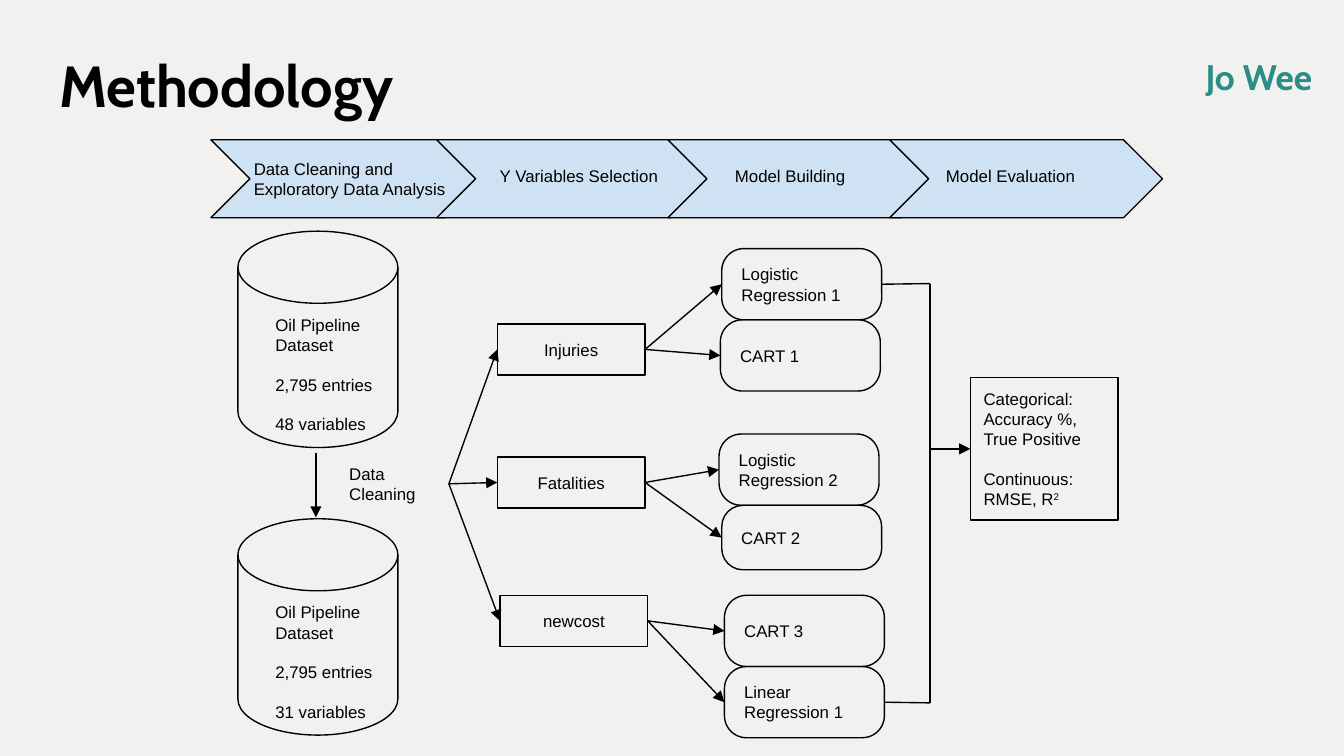
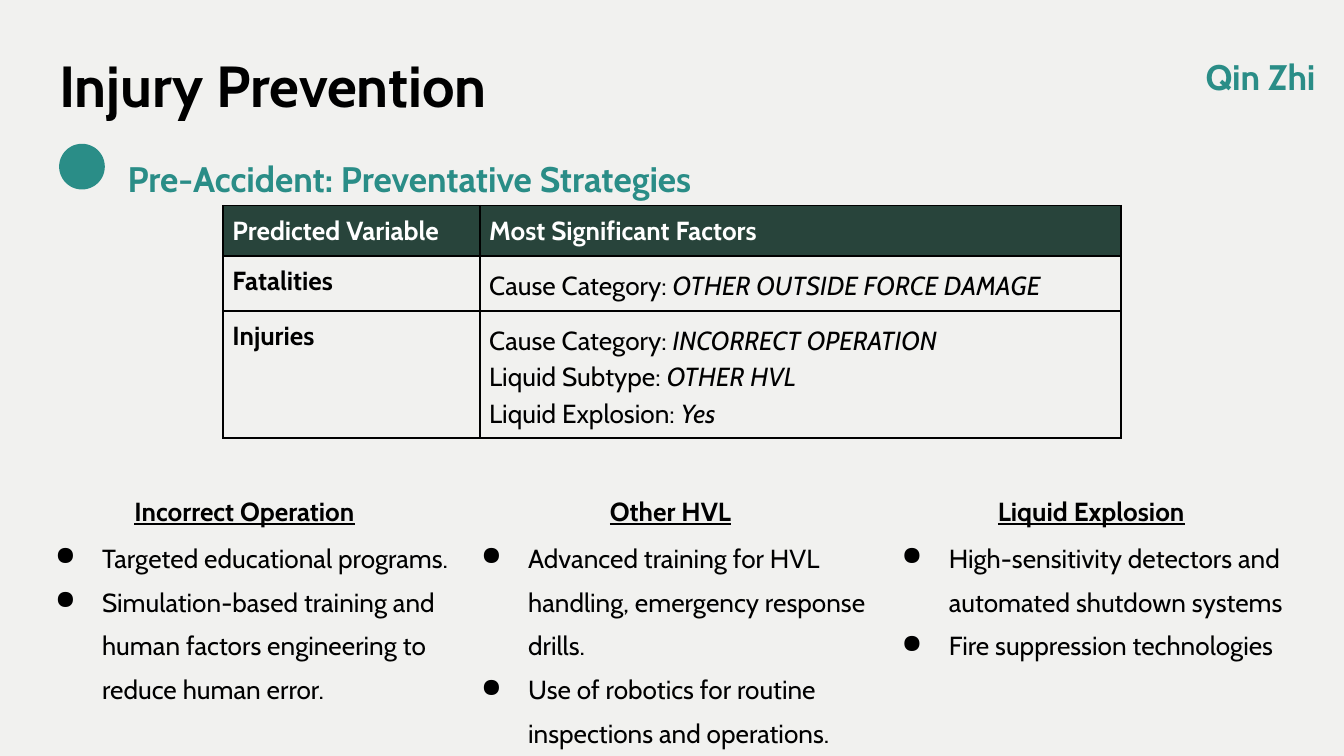
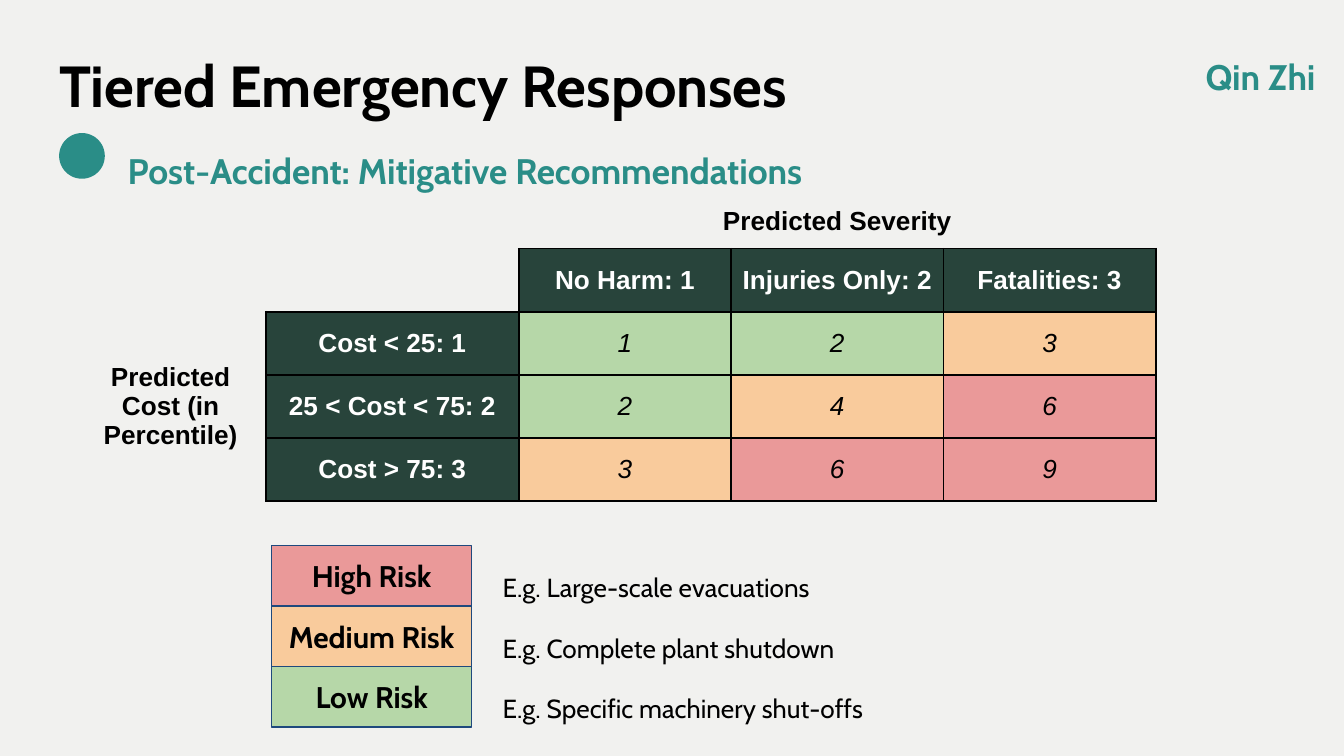
from lxml import etree
from pptx import Presentation, util as u
from pptx.dml.color import RGBColor
from pptx.enum import shapes, text
from pptx.oxml import ns

SHAPE = shapes.MSO_SHAPE
CENTER, JUSTIFY = text.PP_ALIGN.CENTER, text.PP_ALIGN.JUSTIFY
TOP, MIDDLE = text.MSO_ANCHOR.TOP, text.MSO_ANCHOR.MIDDLE
PAPER, BLACK, WHITE = "F1F1EF", "000000", "FFFFFF"
TEAL, DARK, SKY, NAVY = "2A8D87", "28443B", "CFE2F3", "1F497D"
HIGH, MEDIUM, LOW = "EA9999", "F9CB9C", "B6D7A8"
LINE_GAP = 10.35
HEADING = dict(font="Cabin", bold=True)
BODY = dict(font="Cabin", size=14)


def rgb(color):
    """Turn a hex string into a colour."""
    return RGBColor.from_string(color)


def child(parent, tag, **attrs):
    """Append a DrawingML element to a parent."""
    return etree.SubElement(parent, ns.qn(f"a:{tag}"), attrs)


def add_bullet(p):
    """Give a paragraph a round black bullet with a hanging indent."""
    pPr = p._p.get_or_add_pPr()
    pPr.set("marL", str(u.Inches(0.5)))
    pPr.set("indent", str(-u.Inches(0.35)))
    child(child(pPr, "buClr"), "srgbClr", val=BLACK)
    child(pPr, "buChar", char="●")


def write(tf, paras, font="Arial", size=9, color=BLACK, bold=False, underline=False,
          italic=False, align=None, spacing=None, gaps=(), bullets=False):
    """Fill a text frame; a paragraph is a string or a list of (text, run style) pairs."""
    for i, parts in enumerate(paras):
        p = tf.paragraphs[0] if i == 0 else tf.add_paragraph()
        if bullets:
            add_bullet(p)
        if align is not None:
            p.alignment = align
        if spacing:
            p.line_spacing = spacing
        if i in gaps:
            p.space_before = u.Pt(LINE_GAP)
        f = p.font
        f.name, f.size, f.bold = font, u.Pt(size), bold
        f.italic, f.underline = italic, underline
        f.color.rgb = rgb(color)
        for words, style in [(parts, "")] if isinstance(parts, str) else parts:
            r = p.add_run()
            r.text = words
            if style == "italic":
                r.font.italic = True
            elif style == "super":
                r._r.get_or_add_rPr().set("baseline", "30000")


def set_margins(target, inset):
    """Set four equal margins on a text frame or table cell."""
    target.margin_left = target.margin_right = u.Inches(inset)
    target.margin_top = target.margin_bottom = u.Inches(inset)


def add_label(s, box, paras, inset=0.0, **style):
    """Add a wrapping text box that grows with its text."""
    tf = s.shapes.add_textbox(*map(u.Inches, box)).text_frame
    tf.word_wrap = True
    tf.auto_size = text.MSO_AUTO_SIZE.SHAPE_TO_FIT_TEXT
    set_margins(tf, inset)
    write(tf, paras, **style)


def add_box(s, kind, box, paras=(), fill=None, line=BLACK, adj=None, **style):
    """Add a preset shape with its own fill, outline and text."""
    sp = s.shapes.add_shape(kind, *map(u.Inches, box))
    sp.shadow.inherit = False
    if adj is not None:
        sp.adjustments[0] = adj
    if fill:
        sp.fill.solid()
        sp.fill.fore_color.rgb = rgb(fill)
    else:
        sp.fill.background()
    if line:
        sp.line.color.rgb = rgb(line)
        sp.line.width = u.Pt(0.75)
    else:
        sp.line.fill.background()
    tf = sp.text_frame
    tf.word_wrap = True
    tf.vertical_anchor = MIDDLE
    set_margins(tf, 0.1)
    style.setdefault("align", text.PP_ALIGN.LEFT)
    write(tf, paras, **style)
    return sp


def connect(s, start, end, arrow=True):
    """Draw a line between two ends, each a point or a (shape, side) pair."""
    points = [(0, 0) if hasattr(e[0], "shape_id") else e for e in (start, end)]
    cx = s.shapes.add_connector(shapes.MSO_CONNECTOR.STRAIGHT,
                                *(u.Inches(v) for pt in points for v in pt))
    for e, join in ((start, cx.begin_connect), (end, cx.end_connect)):
        if hasattr(e[0], "shape_id"):
            join(*e)
    cx.line.color.rgb = rgb(BLACK)
    cx.line.width = u.Pt(0.75)
    if arrow:
        child(cx.line._get_or_add_ln(), "tailEnd", type="triangle")
    child(cx._element.spPr, "effectLst")


def add_grid(s, left, top, widths, heights):
    """Add a plain table with the given column widths and row heights."""
    size = map(u.Inches, (left, top, sum(widths), sum(heights)))
    tbl = s.shapes.add_table(len(heights), len(widths), *size).table
    tbl.first_row = tbl.horz_banding = False
    for col, w in zip(tbl.columns, widths):
        col.width = u.Inches(w)
    for row, h in zip(tbl.rows, heights):
        row.height = u.Inches(h)
    return tbl


def fill_cell(cell, paras=(), fill=None, sides="LRTB", anchor=MIDDLE, **style):
    """Set the borders, fill and text of one table cell."""
    tcPr = cell._tc.get_or_add_tcPr()
    for side in "LRTB":
        ln = child(tcPr, f"ln{side}", w=str(u.Pt(1)))
        if side in sides:
            child(child(ln, "solidFill"), "srgbClr", val=BLACK)
        else:
            child(ln, "noFill")
    if fill:
        cell.fill.solid()
        cell.fill.fore_color.rgb = rgb(fill)
    else:
        cell.fill.background()
    if paras:
        set_margins(cell, 0.07)
        cell.vertical_anchor = anchor
        write(cell.text_frame, paras, **style)


def add_page(prs, title, speaker):
    """Start a slide with the shared background, title and speaker name."""
    s = prs.slides.add_slide(prs.slide_layouts[6])
    s.background.fill.solid()
    s.background.fill.fore_color.rgb = rgb(PAPER)
    add_label(s, (0.44, 0.26, 9.06, 0.52), [title], size=31, spacing=1.21, **HEADING)
    add_label(s, (8.97, 0.28, 1.16, 0.32), [speaker],
              size=19, color=TEAL, spacing=1.4, **HEADING)
    return s


def add_subtitle(s, dot_top, text_top, width, words):
    """Add the teal dot and the section line beside it."""
    add_box(s, SHAPE.OVAL, (0.44, dot_top, 0.34, 0.34), fill=TEAL, line=None)
    add_label(s, (0.95, text_top, width, 0.32), [words],
              size=19, color=TEAL, spacing=1.4, **HEADING)


def add_stages(s, top):
    """Draw the chevron band and its stage names."""
    stages = [
        (1.57, 1.79, 2.66, ["Data Cleaning and", "Exploratory Data Analysis"]),
        (3.25, 3.62, 1.4, ["Y Variables Selection"]),
        (4.97, 5.37, 3.28, ["Model Building"]),
        (6.62, 6.94, 3.28, ["Model Evaluation"]),
    ]
    for left, *_ in stages:
        add_box(s, SHAPE.CHEVRON, (left, top, 2.03, 0.58), fill=SKY, adj=0.5)
    for _, left, width, lines in stages:
        height = 0.2 + 0.15 * len(lines)
        add_label(s, (left, top + 0.29 - height / 2, width, height), lines, inset=0.1)


def add_dataset(s, left, top, variables):
    """Draw a data store with its counts."""
    add_box(s, SHAPE.FLOWCHART_MAGNETIC_DISK, (left, top, 1.19, 1.61))
    add_label(s, (left + 0.18, top + 0.52, 1.19, 1.11),
              ["Oil Pipeline Dataset", "2,795 entries", variables], inset=0.1, gaps=(1, 2))


def add_variable(s, hub, left, top, name, models):
    """Draw one predicted variable with its models and return the model shapes."""
    variable = add_box(s, SHAPE.RECTANGLE, (left, top, 1.1, 0.38), [name], align=CENTER)
    connect(s, hub, (variable, 1))
    boxes = []
    for model, dx, dy, height, adj in models:
        sp = add_box(s, SHAPE.ROUNDED_RECTANGLE, (left + dx, top + dy, 1.19, height),
                     [model], adj=adj)
        connect(s, (variable, 3), (sp, 1))
        boxes.append(sp)
    return boxes


def add_evaluation(s, left, top, first, last):
    """Draw the evaluation box and the bracket that gathers the models."""
    rail, upper, lower = left - 0.3, 2.11, 5.23
    measures = add_box(
        s, SHAPE.RECTANGLE, (left, top, 1.1, 1.06),
        ["Categorical:", "Accuracy %, True Positive", "Continuous:",
         [("RMSE, R", ""), ("2", "super")]], gaps=(2,))
    connect(s, (first, 3), (rail, upper), arrow=False)
    connect(s, (last, 3), (rail, lower), arrow=False)
    connect(s, (rail, upper), (rail, lower), arrow=False)
    connect(s, (rail, top + 0.53), (measures, 1))


def methodology(prs):
    """Build the process slide."""
    s = add_page(prs, "Methodology", "Jo Wee")
    add_stages(s, 1.04)
    add_dataset(s, 1.77, 1.72, "48 variables")
    add_dataset(s, 1.77, 3.86, "31 variables")
    connect(s, (2.35, 3.37), (2.35, 3.85))
    add_label(s, (2.5, 3.35, 0.85, 0.5), ["Data Cleaning"], inset=0.1)
    hub = (3.34, 3.6)
    injuries = add_variable(s, hub, 3.7, 2.41, "Injuries", [
        ("Logistic Regression 1", 1.67, -0.56, 0.53, 0.31),
        ("CART 1", 1.66, -0.03, 0.53, 0.31)])
    add_variable(s, hub, 3.7, 3.4, "Fatalities", [
        ("Logistic Regression 2", 1.65, -0.17, 0.53, 0.31),
        ("CART 2", 1.67, 0.36, 0.48, 0.33)])
    costs = add_variable(s, hub, 3.72, 4.43, "newcost", [
        ("CART 3", 1.67, 0, 0.53, 0.31),
        ("Linear Regression 1", 1.67, 0.53, 0.53, 0.31)])
    add_evaluation(s, 7.22, 2.81, injuries[0], costs[-1])


def add_factors(s, left, top):
    """Add the table of significant factors."""
    rows = [
        ("Fatalities", [("Cause Category: ", "OTHER OUTSIDE FORCE DAMAGE")]),
        ("Injuries", [("Cause Category: ", "INCORRECT OPERATION"),
                      ("Liquid Subtype: ", "OTHER HVL"),
                      ("Liquid Explosion: ", "Yes")]),
    ]
    tbl = add_grid(s, left, top, [1.91, 4.77], [0.37, 0.41, 0.94])
    for c, head in enumerate(("Predicted Variable", "Most Significant Factors")):
        fill_cell(tbl.cell(0, c), [head], DARK, color=WHITE, bold=True, **BODY)
    for r, (variable, factors) in enumerate(rows, 1):
        fill_cell(tbl.cell(r, 0), [variable], anchor=TOP, bold=True, **BODY)
        lines = [[(name, ""), (value, "italic")] for name, value in factors]
        fill_cell(tbl.cell(r, 1), lines, anchor=TOP, align=JUSTIFY, spacing=1.15, **BODY)


def add_strategy(s, left, top, height, head, points):
    """Add an underlined heading with bullets below."""
    add_label(s, (left, top + 0.35, 3.13, height), points, bullets=True, spacing=1.4, **BODY)
    add_label(s, (left - 0.17, top, 3.46, 0.24), [head], bold=True, underline=True,
              align=CENTER, spacing=1.4, **BODY)


def injury_prevention(prs):
    """Build the prevention slide."""
    s = add_page(prs, "Injury Prevention", "Qin Zhi")
    add_strategy(s, 0.26, 3.59, 1.56, "Incorrect Operation", [
        "Targeted educational programs.",
        "Simulation-based training and human factors engineering to reduce human error."])
    add_strategy(s, 3.43, 3.59, 1.56, "Other HVL", [
        "Advanced training for HVL handling, emergency response drills.",
        "Use of robotics for routine inspections and operations."])
    add_strategy(s, 6.56, 3.59, 0.9, "Liquid Explosion", [
        "High-sensitivity detectors and automated shutdown systems",
        "Fire suppression technologies"])
    add_factors(s, 1.66, 1.53)
    add_subtitle(s, 1.07, 1.04, 5.14, "Pre-Accident: Preventative Strategies")


def risk_color(score):
    """Pick the tier colour of a risk score."""
    return LOW if score < 3 else MEDIUM if score < 6 else HIGH


def matrix_sides(r, c):
    """Name the visible borders of a risk matrix cell."""
    if r and c and r + c > 2:
        return "LRTB"
    if r == c == 1:
        return "RB"
    if r == 0 and c > 1:
        return "B"
    return "R" if c == 0 and r > 1 else ""


def add_matrix(s, left, top):
    """Add the matrix that multiplies severity by cost."""
    texts = {(0, 2): "Predicted Severity", (2, 0): "Predicted Cost (in Percentile)"}
    severities = ["No Harm: 1", "Injuries Only: 2", "Fatalities: 3"]
    costs = ["Cost < 25: 1", "25 < Cost < 75: 2", "Cost > 75: 3"]
    heads = {(1, c): head for c, head in enumerate(severities, 2)}
    heads.update({(r, 1): head for r, head in enumerate(costs, 2)})
    tbl = add_grid(s, left, top, [1.42, 1.88] + [1.58] * 3, [0.41] + [0.47] * 4)
    tbl.cell(0, 2).merge(tbl.cell(0, 4))
    tbl.cell(2, 0).merge(tbl.cell(4, 0))
    for r in range(5):
        for c in range(5):
            look = dict(sides=matrix_sides(r, c), size=14, align=CENTER)
            cell = tbl.cell(r, c)
            if (r, c) in heads:
                fill_cell(cell, [heads[r, c]], DARK, color=WHITE, bold=True, **look)
            elif r > 1 and c > 1:
                score = (r - 1) * (c - 1)
                fill_cell(cell, [str(score)], risk_color(score), italic=True, **look)
            else:
                paras = [texts[r, c]] if (r, c) in texts else []
                fill_cell(cell, paras, bold=True, **look)


def add_legend(s, left, top):
    """Stack the risk tiers with an example beside each."""
    tiers = [("High Risk", HIGH, "E.g. Large-scale evacuations"),
             ("Medium Risk", MEDIUM, "E.g. Complete plant shutdown"),
             ("Low Risk", LOW, "E.g. Specific machinery shut-offs")]
    for i, (tier, color, example) in enumerate(tiers):
        y = top + 0.45 * i
        add_box(s, SHAPE.RECTANGLE, (left, y, 1.49, 0.45), [tier], fill=color, line=NAVY,
                size=16, align=CENTER, **HEADING)
        add_label(s, (left + 1.72, y + 0.1, 6.6, 0.24), [example], spacing=1.4, **BODY)


def emergency_responses(prs):
    """Build the risk tier slide."""
    s = add_page(prs, "Tiered Emergency Responses", "Qin Zhi")
    add_subtitle(s, 0.99, 0.98, 5.49, "Post-Accident: Mitigative Recommendations")
    add_legend(s, 2.02, 4.06)
    add_matrix(s, 0.56, 1.44)


def main():
    """Build and save the presentation."""
    prs = Presentation()
    prs.slide_width = u.Inches(10)
    prs.slide_height = prs.slide_width * 9 // 16
    methodology(prs)
    injury_prevention(prs)
    emergency_responses(prs)
    prs.save("out.pptx")


if __name__ == "__main__":
    main()
